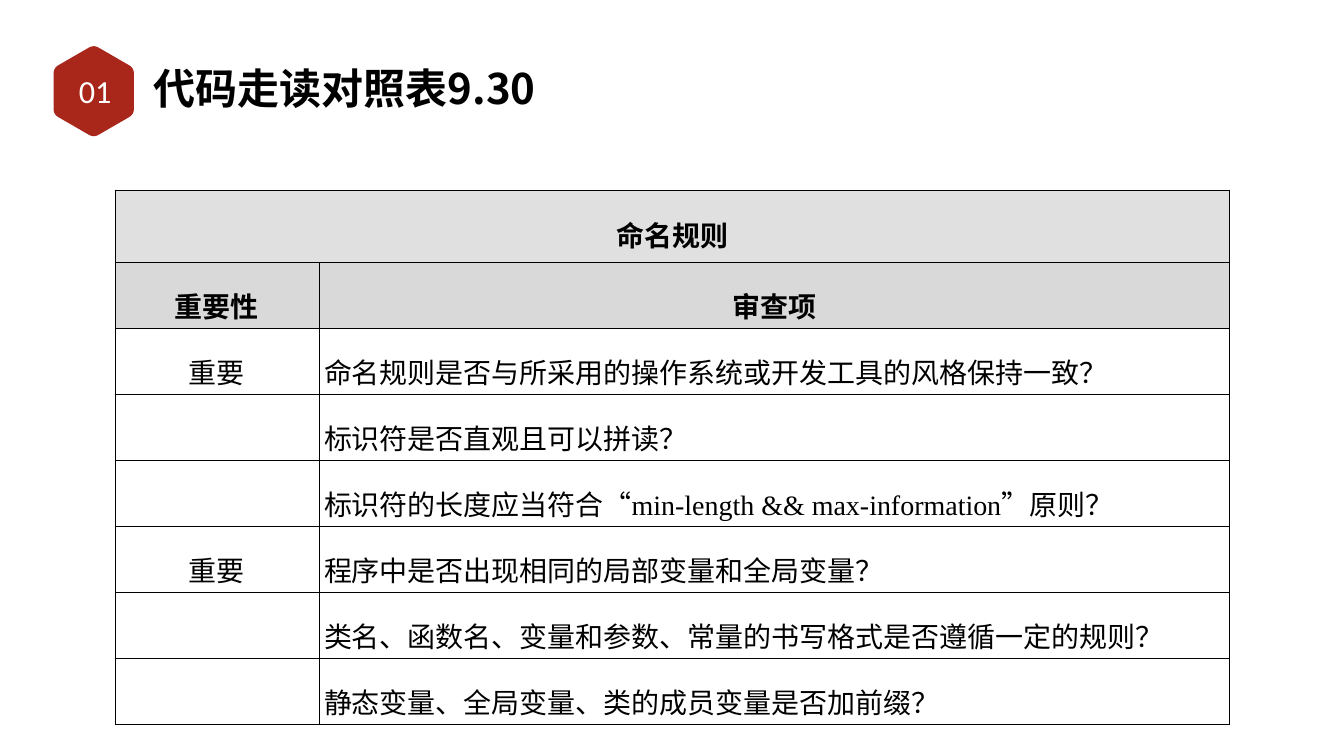
from math import cos, radians, sin
from typing import NamedTuple

from lxml.etree import SubElement
from pptx import Presentation
from pptx.dml.color import RGBColor
from pptx.enum.text import MSO_ANCHOR, PP_ALIGN
from pptx.oxml.ns import qn
from pptx.util import Inches, Pt

BLACK = RGBColor(0x00, 0x00, 0x00)
WHITE = RGBColor(0xFF, 0xFF, 0xFF)
RED = RGBColor(0xA8, 0x27, 0x1A)
HEADING_GREY = RGBColor(0xE0, 0xE0, 0xE0)
COLUMN_GREY = RGBColor(0xD9, 0xD9, 0xD9)
CJK_FONT = "Noto Sans CJK SC"
SERIF_FONT = "Times New Roman"


class Check(NamedTuple):
    importance: str
    question: str
    font: str = SERIF_FONT


class Box(NamedTuple):
    left: float
    top: float
    width: float
    height: float
    inset: float


CHECKS = [
    Check("重要", "命名规则是否与所采用的操作系统或开发工具的风格保持一致？", CJK_FONT),
    Check("", "标识符是否直观且可以拼读？", CJK_FONT),
    Check("", "标识符的长度应当符合“min-length && max-information”原则？"),
    Check("重要", "程序中是否出现相同的局部变量和全局变量？"),
    Check("", "类名、函数名、变量和参数、常量的书写格式是否遵循一定的规则？"),
    Check("", "静态变量、全局变量、类的成员变量是否加前缀？"),
]


def format_runs(paragraph, size: float, font: str, color: RGBColor, bold: bool = False) -> None:
    for run in paragraph.runs:
        run.font.size = Pt(size)
        run.font.bold = bold
        run.font.color.rgb = color
        run.font.name = font
        SubElement(run.font._element, qn("a:ea"), typeface=CJK_FONT)


def add_label(slide, box: Box, text: str, size: float, font: str, color: RGBColor,
              align=PP_ALIGN.LEFT, bold: bool = False) -> None:
    label = slide.shapes.add_textbox(*map(Inches, box[:4])).text_frame
    label.word_wrap = True
    label.vertical_anchor = MSO_ANCHOR.MIDDLE
    label.margin_left = label.margin_right = Inches(box.inset)
    label.margin_top = label.margin_bottom = Inches(box.inset)
    label.text = text
    label.paragraphs[0].alignment = align
    format_runs(label.paragraphs[0], size, font, color, bold)


def add_hexagon(slide, center_x: float, center_y: float, radius: float, cut: float) -> None:
    """Draw a pointy-top hexagon whose corners are quadratic curves."""
    corners = [(center_x + radius * cos(radians(a)), center_y + radius * sin(radians(a)))
               for a in range(30, 390, 60)]
    share = cut / radius
    outline = []
    for i, (x, y) in enumerate(corners):
        before, after = corners[i - 1], corners[(i + 1) % 6]
        for step in range(9):
            t = step / 8
            back, ahead = share * (1 - t) ** 2, share * t ** 2
            outline.append((x + back * (before[0] - x) + ahead * (after[0] - x),
                            y + back * (before[1] - y) + ahead * (after[1] - y)))
    points = [(Inches(x), Inches(y)) for x, y in outline]
    builder = slide.shapes.build_freeform(*points[0])
    builder.add_line_segments(points[1:], close=True)
    hexagon = builder.convert_to_shape()
    hexagon.shadow.inherit = False
    hexagon.fill.solid()
    hexagon.fill.fore_color.rgb = RED
    hexagon.line.fill.background()


def add_borders(cell) -> None:
    properties = cell._tc.get_or_add_tcPr()
    for index, side in enumerate(("a:lnL", "a:lnR", "a:lnT", "a:lnB")):
        line = SubElement(properties, qn(side), w=str(Pt(1)))
        SubElement(SubElement(line, qn("a:solidFill")), qn("a:srgbClr"), val=str(BLACK))
        properties.remove(line)
        properties.insert(index, line)


def fill_cell(cell, text: str, align=PP_ALIGN.CENTER, font: str = CJK_FONT,
              bold: bool = False, fill: RGBColor | None = None) -> None:
    if text:
        cell.text = text
        paragraph = cell.text_frame.paragraphs[0]
        paragraph.alignment = align
        paragraph.line_spacing = 1.5
        format_runs(paragraph, 40, font, BLACK, bold)
    if fill is None:
        cell.fill.background()
    else:
        cell.fill.solid()
        cell.fill.fore_color.rgb = fill
    add_borders(cell)


def add_checklist(slide) -> None:
    row_count = len(CHECKS) + 2
    table = slide.shapes.add_table(row_count, 2, Inches(2.28), Inches(3.77),
                                   Inches(22.12), Inches(10.61)).table
    table.first_row = table.horz_banding = False
    for column, width in zip(table.columns, (4.05, 18.07)):
        column.width = Inches(width)
    for index, row in enumerate(table.rows):
        row.height = Inches(1.31 if index else 1.44)

    heading = table.cell(0, 0)
    heading.merge(table.cell(0, 1))
    heading.margin_top, heading.margin_bottom = Inches(0.08), Inches(0.16)
    fill_cell(heading, "命名规则", bold=True, fill=HEADING_GREY)
    fill_cell(table.cell(0, 1), "", fill=HEADING_GREY)
    for column, name in enumerate(("重要性", "审查项")):
        fill_cell(table.cell(1, column), name, bold=True, fill=COLUMN_GREY)
    for row, check in enumerate(CHECKS, start=2):
        fill_cell(table.cell(row, 0), check.importance)
        fill_cell(table.cell(row, 1), check.question, PP_ALIGN.LEFT, check.font)


def main() -> None:
    presentation = Presentation()
    presentation.slide_width, presentation.slide_height = Inches(26.67), Inches(15)
    slide = presentation.slides.add_slide(presentation.slide_layouts[6])
    add_hexagon(slide, 1.86, 1.81, 0.92, 0.11)
    add_label(slide, Box(2.99, 1.18, 12.55, 1.14, 0.06), "代码走读对照表9.30",
              60, CJK_FONT, BLACK, bold=True)
    add_checklist(slide)
    add_label(slide, Box(1.02, 1.27, 1.74, 1.05, 0.05), "01",
              46, "Calibri", WHITE, PP_ALIGN.CENTER)
    presentation.save("out.pptx")


if __name__ == "__main__":
    main()
